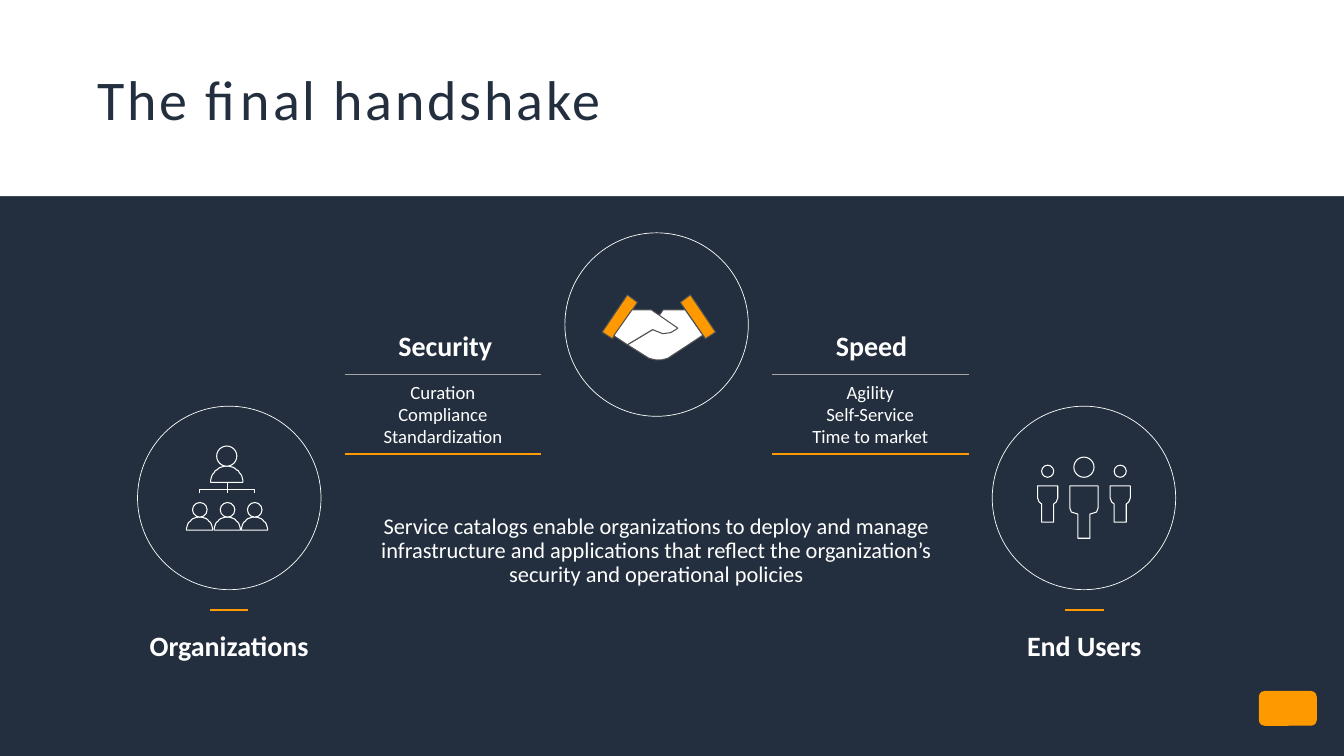
from math import cos, pi, sin
from lxml import etree
from pptx import Presentation, util as u
from pptx.dml.color import RGBColor
from pptx.enum import shapes, text
from pptx.oxml.ns import qn

PX = 9144
COLORS = {"navy": "232F3E", "white": "FFFFFF", "orange": "FF9900", "outline": "535353", "rule": "A6A6A6"}
C = {name: RGBColor.from_string(value) for name, value in COLORS.items()}
OVAL = shapes.MSO_SHAPE.OVAL


def paint(sp, fill, line=None, width=1.5):
    sp.shadow.inherit = False
    sp.fill.solid()
    sp.fill.fore_color.rgb = C[fill]
    if line:
        sp.line.color.rgb = C[line]
        sp.line.width = u.Pt(width)
    else:
        sp.line.fill.background()


def label(x, y, w, h, lines, size, bold=False, anchor=text.MSO_ANCHOR.TOP, spacing=None):
    tf = s.shapes.add_textbox(x * PX, y * PX, w * PX, h * PX).text_frame
    tf.word_wrap = True
    tf.vertical_anchor = anchor
    tf.margin_left = tf.margin_right = tf.margin_top = tf.margin_bottom = 0
    tf.text = "\n".join(lines)
    for p in tf.paragraphs:
        p.alignment = text.PP_ALIGN.CENTER
        p.line_spacing = spacing
        p.font.name = "Calibri"
        p.font.size = u.Pt(size)
        p.font.bold = bold
        p.font.color.rgb = C["white"]


prs = Presentation()
prs.slide_width, prs.slide_height = 2667 * PX, 1500 * PX
s = prs.slides.add_slide(prs.slide_layouts[5])
s.background.fill.solid()
s.background.fill.fore_color.rgb = C["navy"]

band = s.shapes.add_shape(shapes.MSO_SHAPE.RECTANGLE, 0, 0, prs.slide_width, 389 * PX)
paint(band, "white")
s.shapes._spTree.insert(2, band._element)

title = s.shapes.title
title.left, title.top, title.width, title.height = 193 * PX, 49 * PX, 2281 * PX, 290 * PX
tf = title.text_frame
tf.margin_left = tf.margin_right = tf.margin_top = tf.margin_bottom = 0
tf.vertical_anchor = text.MSO_ANCHOR.MIDDLE
tf.text = "The final handshake"
p = tf.paragraphs[0]
p.alignment = text.PP_ALIGN.LEFT
p.font.name = "Calibri"
p.font.size = u.Pt(80)
p.font.color.rgb = C["navy"]
p.runs[0].font._element.set("spc", "400")

for x, y in [(1121, 462), (1969, 806), (273, 806)]:
    paint(s.shapes.add_shape(OVAL, x * PX, y * PX, 364 * PX, 364 * PX), "navy", "white", 1)

right_hand = [(1308, 626), (1316, 615), (1360, 615), (1395, 665), (1325, 711), (1313, 714),
              (1301, 714), (1288, 711), (1245, 684), (1295, 654)]
right_cuff = [(1420, 659), (1400, 672), (1350, 600), (1370, 585)]
left_cuff = [(2615 - x, y) for x, y in right_cuff]
left_hand = [(1254, 615), (1293, 615), (1345, 651), (1341, 654), (1331, 660), (1315, 662),
             (1295, 654), (1245, 684), (1218, 666)]
outlines = [(right_hand, "white", "outline", False), (right_cuff, "orange", "outline", True),
            (left_cuff, "orange", "outline", True), (left_hand, "white", "outline", True)]
heads = []

for cx, half, leg, arm, bottom, head in [(2079, 20, 12, 1000, 1036, 24), (2223, 20, 12, 1000, 1036, 24),
                                         (2151, 28, 12, 1020, 1068, 40)]:
    side = [(half, 964), (half, arm - 12), (half - 3, arm - 4), (leg, arm), (leg, bottom)]
    body = [(cx + dx, y) for dx, y in side] + [(cx - dx, y) for dx, y in reversed(side)]
    outlines.append((body, "navy", "white", True))
    heads.append((cx, 947 - head, head))

for cx, base, radius, head in [(450, 957, 32, 40), (396, 1052, 26, 29), (451, 1052, 26, 29), (505, 1052, 26, 29)]:
    arc = [(round(cx + radius * cos(pi * i / 24)), round(base - radius * sin(pi * i / 24))) for i in range(25)]
    outlines.append((arc, "navy", "white", True))
    heads.append((cx, base - radius - head, head))

outlines.append(([(396, 979), (396, 972), (505, 972), (505, 979)], "navy", "white", False))

for points, fill, line, close in outlines:
    builder = s.shapes.build_freeform(*points[0], scale=PX)
    builder.add_line_segments(points[1:], close=close)
    paint(builder.convert_to_shape(), fill, line)
for cx, y, d in heads:
    paint(s.shapes.add_shape(OVAL, (cx - d // 2) * PX, y * PX, d * PX, d * PX), "navy", "white")

rules = [(451, 957, 451, 979, "white", 1.5)]
for x in (416, 2113):
    rules.append((x, 1210, x + 77, 1210, "orange", 2))
for x in (684, 1532):
    rules += [(x, 742, x + 390, 742, "rule", 1), (x, 901, x + 390, 901, "orange", 2)]
for x1, y1, x2, y2, color, width in rules:
    rule = s.shapes.add_connector(shapes.MSO_CONNECTOR.STRAIGHT, x1 * PX, y1 * PX, x2 * PX, y2 * PX)
    rule.line.color.rgb = C[color]
    rule.line.width = u.Pt(width)
    etree.SubElement(rule._element.spPr, qn("a:effectLst"))

label(1993, 1248, 317, 67, ["End Users"], 40, True)
label(257, 1248, 395, 67, ["Organizations"], 40, True)
label(731, 652, 305, 67, ["Security"], 40, True)
label(1532, 652, 395, 67, ["Speed"], 40, True)
label(689, 749, 380, 145, ["Curation", "Compliance", "Standardization"], 26.7, anchor=text.MSO_ANCHOR.MIDDLE)
label(1537, 749, 380, 145, ["Agility", "Self-Service", "Time to market"], 26.7, anchor=text.MSO_ANCHOR.MIDDLE)
label(755, 1022, 1095, 220, ["Service catalogs enable organizations to deploy and manage infrastructure and applications "
                             "that reflect the organization’s security and operational policies"], 32, spacing=0.9)

badge = s.shapes.add_shape(shapes.MSO_SHAPE.ROUNDED_RECTANGLE, 2498 * PX, 1371 * PX, 115 * PX, 69 * PX)
paint(badge, "orange")

prs.save("out.pptx")
